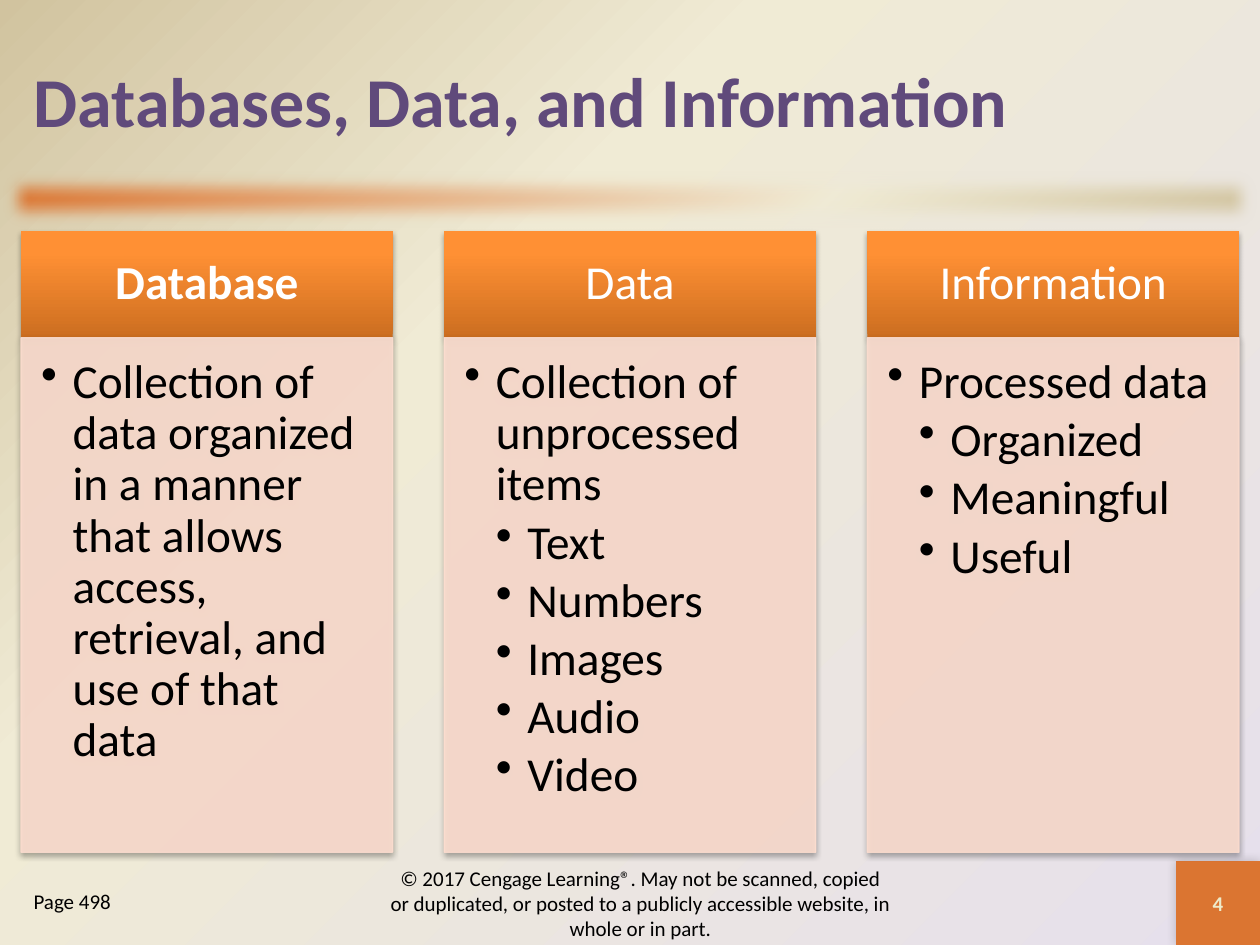
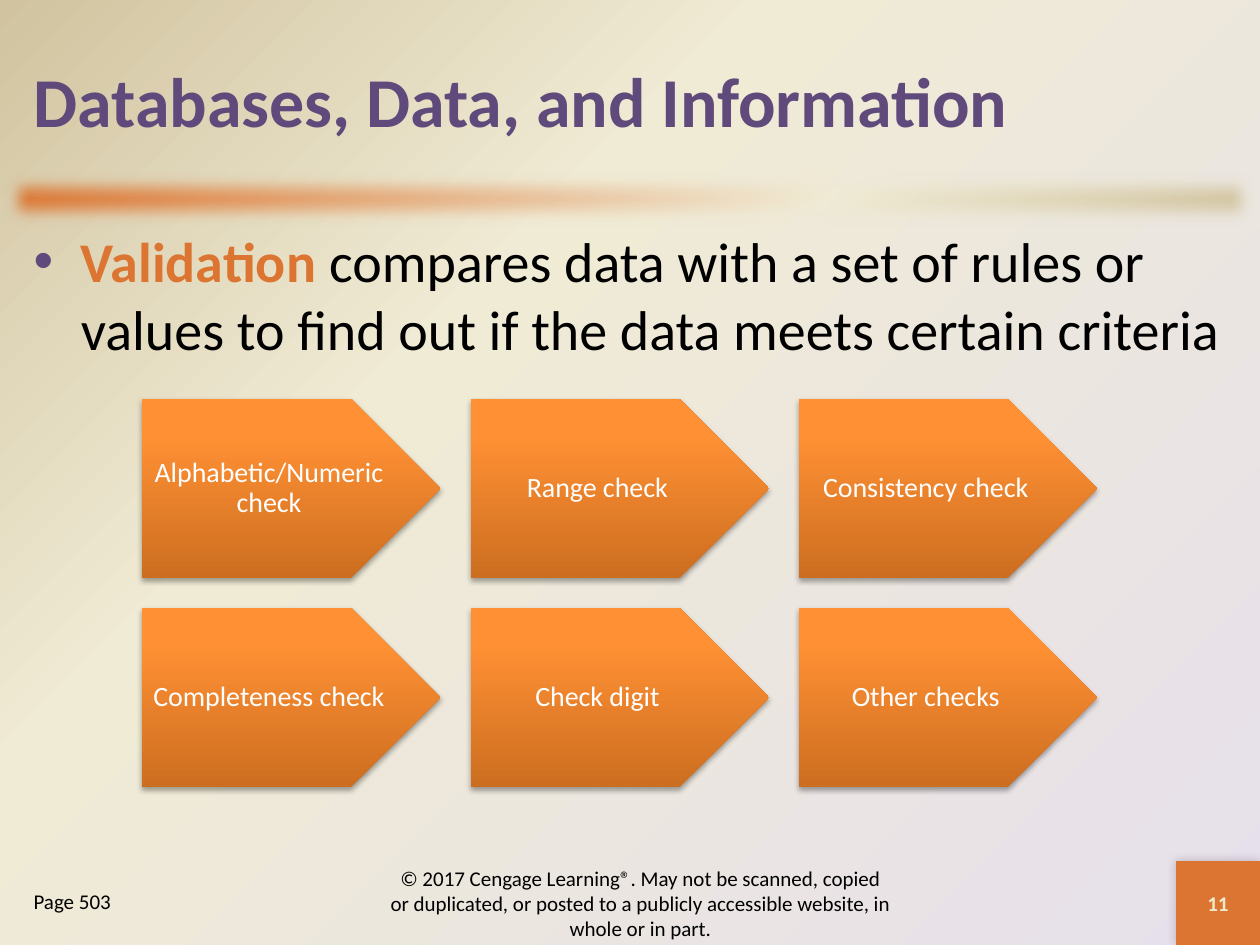
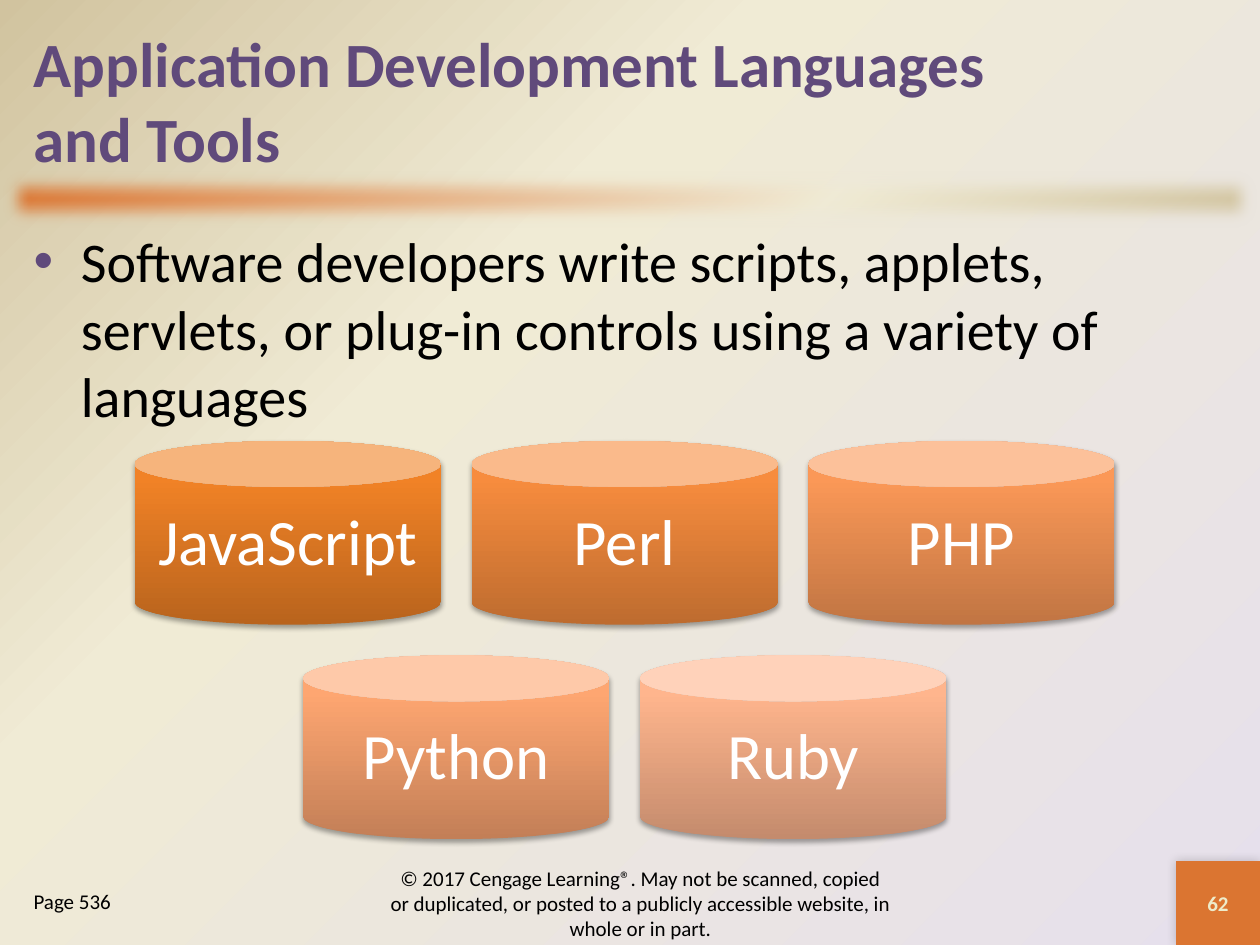
from dataclasses import dataclass
from typing import NamedTuple

from lxml.etree import SubElement
from pptx import Presentation
from pptx.dml.color import RGBColor
from pptx.enum.shapes import MSO_SHAPE
from pptx.enum.text import MSO_ANCHOR, MSO_AUTO_SIZE, PP_ALIGN
from pptx.oxml import parse_xml
from pptx.oxml.ns import nsdecls, qn
from pptx.util import Pt

RECTANGLE = MSO_SHAPE.RECTANGLE
ARROW = MSO_SHAPE.PENTAGON
CYLINDER = MSO_SHAPE.CAN
TOP, MIDDLE = MSO_ANCHOR.TOP, MSO_ANCHOR.MIDDLE
LEFT, CENTER = PP_ALIGN.LEFT, PP_ALIGN.CENTER
NO_AUTOFIT = MSO_AUTO_SIZE.NONE

FONT = "Calibri"
BLACK = RGBColor(0x00, 0x00, 0x00)
WHITE = RGBColor(0xFF, 0xFF, 0xFF)
PURPLE = RGBColor(0x60, 0x4A, 0x7B)
ORANGE = RGBColor(0xDB, 0x75, 0x31)
LAVENDER = RGBColor(0xE6, 0xE0, 0xEC)
CREAM = RGBColor(0xF0, 0xEB, 0xD5)
SAND = RGBColor(0xD1, 0xC3, 0x9F)
PALE_YELLOW = RGBColor(0xEE, 0xEB, 0xCA)
PEACH = RGBColor(0xFC, 0xDD, 0xCF)

CONTENT_LEFT, CONTENT_WIDTH = 12, 696
TWO_CONTENT_LAYOUT = 3
COPYRIGHT = (
    "© 2017 Cengage Learning®. May not be scanned, copied or duplicated, "
    "or posted to a publicly accessible website, in whole or in part."
)


class Frame(NamedTuple):
    left: float
    top: float
    width: float
    height: float


class Shades(NamedTuple):
    dark: RGBColor
    main: RGBColor
    light: RGBColor


class Shadow(NamedTuple):
    opacity: int
    blur: float
    distance: float
    angle: int


class Tile(NamedTuple):
    label: str
    shades: Shades


class Card(NamedTuple):
    heading: str
    bold: bool
    statement: str
    examples: tuple[str, ...] = ()


@dataclass(frozen=True)
class TileGrid:
    shape: int
    rows: tuple[tuple[Tile, ...], ...]
    center: float
    top: float
    tile_width: float
    inset: float
    size: float


ORANGE_SHADES = Shades(
    RGBColor(0xCC, 0x6E, 0x20), RGBColor(0xFF, 0x90, 0x34), RGBColor(0xFF, 0x91, 0x36)
)
JAVASCRIPT_SHADES = Shades(
    RGBColor(0xB9, 0x64, 0x1D), RGBColor(0xF1, 0x82, 0x26), RGBColor(0xF6, 0x82, 0x22)
)
PERL_SHADES = Shades(
    RGBColor(0xBE, 0x6C, 0x2F), RGBColor(0xF7, 0x8C, 0x3E), RGBColor(0xFB, 0x8C, 0x3A)
)
PHP_SHADES = Shades(
    RGBColor(0xC1, 0x75, 0x43), RGBColor(0xFB, 0x98, 0x57), RGBColor(0xFF, 0x98, 0x54)
)
PYTHON_SHADES = Shades(
    RGBColor(0xC3, 0x7F, 0x57), RGBColor(0xFE, 0xA6, 0x71), RGBColor(0xFF, 0xA6, 0x72)
)
RUBY_SHADES = Shades(
    RGBColor(0xC4, 0x8B, 0x6D), RGBColor(0xFF, 0xB5, 0x8D), RGBColor(0xFF, 0xB6, 0x8F)
)

TILE_SHADOW = Shadow(35, 3.1, 1.8, 90)
NUMBER_SHADOW = Shadow(20, 6, 0, 225)

TITLE_FRAME = Frame(CONTENT_LEFT, 12, CONTENT_WIDTH, 90)
BODY_FRAME = Frame(CONTENT_LEFT, 126, CONTENT_WIDTH, 366)
PAGE_FRAME = Frame(CONTENT_LEFT, 504, 132, 36)
COPYRIGHT_FRAME = Frame(216, 498, 300, 36)
NUMBER_FRAME = Frame(672, 492, 48, 48)
BAND_FRAME = Frame(0, 96, 720, 36)

CARDS = (
    Card(
        "Database",
        True,
        "Collection of data organized in a manner that allows access, "
        "retrieval, and use of that data",
    ),
    Card(
        "Data",
        False,
        "Collection of unprocessed items",
        ("Text", "Numbers", "Images", "Audio", "Video"),
    ),
    Card("Information", False, "Processed data", ("Organized", "Meaningful", "Useful")),
)

CHECKS = TileGrid(
    ARROW,
    (
        (
            Tile("Alphabetic/Numeric check", ORANGE_SHADES),
            Tile("Range check", ORANGE_SHADES),
            Tile("Consistency check", ORANGE_SHADES),
        ),
        (
            Tile("Completeness check", ORANGE_SHADES),
            Tile("Check digit", ORANGE_SHADES),
            Tile("Other checks", ORANGE_SHADES),
        ),
    ),
    center=354.2,
    top=228,
    tile_width=170.6,
    inset=5,
    size=16,
)

LANGUAGES = TileGrid(
    CYLINDER,
    (
        (
            Tile("JavaScript", JAVASCRIPT_SHADES),
            Tile("Perl", PERL_SHADES),
            Tile("PHP", PHP_SHADES),
        ),
        (Tile("Python", PYTHON_SHADES), Tile("Ruby", RUBY_SHADES)),
    ),
    center=357,
    top=252,
    tile_width=175,
    inset=10.8,
    size=37,
)


def place(shape, frame: Frame) -> None:
    shape.left, shape.top, shape.width, shape.height = map(Pt, frame)


def set_gradient(parent, stops, direction: str) -> None:
    marks = "".join(
        f'<a:gs pos="{position * 1000}"><a:srgbClr val="{color}"/></a:gs>'
        for position, color in stops
    )
    gradient = parse_xml(
        f'<a:gradFill {nsdecls("a")} rotWithShape="1">'
        f"<a:gsLst>{marks}</a:gsLst>{direction}</a:gradFill>"
    )
    parent.replace(parent.find(qn("a:solidFill")), gradient)


def linear(angle: int) -> str:
    return f'<a:lin ang="{angle * 60000}" scaled="0"/>'


def set_effect(shape, effect: str) -> None:
    properties = shape.element.spPr
    for effects in properties.findall(qn("a:effectLst")):
        properties.remove(effects)
    properties.append(
        parse_xml(f'<a:effectLst {nsdecls("a")}>{effect}</a:effectLst>')
    )


def set_shadow(shape, shadow: Shadow) -> None:
    set_effect(
        shape,
        f'<a:outerShdw blurRad="{Pt(shadow.blur)}" dist="{Pt(shadow.distance)}" '
        f'dir="{shadow.angle * 60000}" algn="ctr" rotWithShape="0">'
        f'<a:srgbClr val="000000"><a:alpha val="{shadow.opacity * 1000}"/>'
        "</a:srgbClr></a:outerShdw>",
    )


def add_block(page, kind: int, frame: Frame, color: RGBColor):
    shape = page.shapes.add_shape(kind, *map(Pt, frame))
    shape.shadow.inherit = False
    shape.fill.solid()
    shape.fill.fore_color.rgb = color
    shape.line.fill.background()
    return shape


def add_glossy(page, kind: int, frame: Frame, shades: Shades):
    shape = add_block(page, kind, frame, shades.main)
    set_gradient(shape.element.spPr, zip((0, 80, 100), shades), linear(270))
    set_shadow(shape, TILE_SHADOW)
    return shape


def set_frame(box, anchor, insets=(7.2, 3.6, 7.2, 3.6)) -> None:
    text = box.text_frame
    text.word_wrap = True
    text.auto_size = NO_AUTOFIT
    text.vertical_anchor = anchor
    text.margin_left, text.margin_top, text.margin_right, text.margin_bottom = map(
        Pt, insets
    )


def style(para, size: float, color: RGBColor, bold: bool = False, align=LEFT) -> None:
    para.alignment = align
    for span in para.runs:
        span.font.name = FONT
        span.font.size = Pt(size)
        span.font.bold = bold
        span.font.color.rgb = color


def set_bullet(para, left: float, hanging: float, color: RGBColor | None = None,
               mark: str = "•") -> None:
    properties = para._p.get_or_add_pPr()
    properties.set("marL", str(Pt(left)))
    properties.set("indent", str(Pt(-hanging)))
    if color is not None:
        SubElement(SubElement(properties, qn("a:buClr")), qn("a:srgbClr"), val=str(color))
    if mark:
        SubElement(properties, qn("a:buChar"), char=mark)
    else:
        SubElement(properties, qn("a:buNone"))


def add_label(page, frame: Frame, text: str, color: RGBColor, bold: bool = False) -> None:
    box = page.shapes.add_textbox(*map(Pt, frame))
    set_frame(box, MIDDLE)
    box.text_frame.text = text
    style(box.text_frame.paragraphs[0], 12, color, bold, CENTER)


def decorate_master(deck, page) -> None:
    master = deck.slide_master
    master.background.fill.solid()
    master.background.fill.fore_color.rgb = CREAM
    set_gradient(
        next(master.element.iter(qn("p:bgPr"))),
        ((0, LAVENDER), (65, CREAM), (100, SAND)),
        '<a:path path="circle"><a:fillToRect l="100000" t="100000"/></a:path>'
        '<a:tileRect r="-100000" b="-100000"/>',
    )
    band = add_block(page, RECTANGLE, BAND_FRAME, ORANGE)
    set_gradient(
        band.element.spPr, ((0, ORANGE), (65, CREAM), (100, SAND)), linear(45)
    )
    set_effect(band, f'<a:softEdge rad="{Pt(10)}"/>')
    square = add_block(page, RECTANGLE, NUMBER_FRAME, ORANGE)
    set_shadow(square, NUMBER_SHADOW)
    for number, shape in enumerate((band, square), start=101):
        next(shape.element.iter(qn("p:cNvPr"))).set("id", str(number))
        master.shapes.element.append(shape.element)


def add_page(deck, title: str, title_size: float, book_page: int, number: int,
             statement: tuple[tuple[str, bool], ...] = ()):
    page = deck.slides.add_slide(deck.slide_layouts[TWO_CONTENT_LAYOUT])
    heading = page.shapes.title
    place(heading, TITLE_FRAME)
    set_frame(heading, MIDDLE)
    heading.text_frame.text = title
    para = heading.text_frame.paragraphs[0]
    style(para, title_size, PURPLE, True)
    for line_break in para._p.findall(qn("a:br")):
        SubElement(line_break, qn("a:rPr"), sz=str(title_size * 100))

    body, reference = page.placeholders[1], page.placeholders[2]
    if statement:
        place(body, BODY_FRAME)
        set_frame(body, TOP)
        para = body.text_frame.paragraphs[0]
        set_bullet(para, 27, 27, PURPLE)
        para.space_before = Pt(0)
        for words, _ in statement:
            para.add_run().text = words
        style(para, 32, BLACK)
        for span, (_, is_term) in zip(para.runs, statement):
            if is_term:
                span.font.bold = True
                span.font.color.rgb = ORANGE
    else:
        body.element.getparent().remove(body.element)

    place(reference, PAGE_FRAME)
    set_frame(reference, TOP)
    reference.text_frame.text = f"Page {book_page}"
    para = reference.text_frame.paragraphs[0]
    set_bullet(para, 27, 27, mark="")
    para.space_before = Pt(0)
    style(para, 12, BLACK)

    add_label(page, COPYRIGHT_FRAME, COPYRIGHT, BLACK)
    add_label(page, NUMBER_FRAME, str(number), PALE_YELLOW, True)
    return page


def add_card(page, card: Card, left: float, width: float) -> None:
    header = add_glossy(page, RECTANGLE, Frame(left, 132, width, 61), ORANGE_SHADES)
    set_frame(header, MIDDLE, (15, 8.6, 15, 8.6))
    header.text_frame.text = card.heading
    para = header.text_frame.paragraphs[0]
    para.line_spacing = 0.9
    style(para, 27, WHITE, card.bold, CENTER)

    panel = add_block(page, RECTANGLE, Frame(left, 193, width, 294), PEACH)
    panel.line.color.rgb = PEACH
    panel.line.width = Pt(0.75)
    for color in panel.element.spPr.iter(qn("a:srgbClr")):
        SubElement(color, qn("a:alpha"), val="90000")
    set_shadow(panel, TILE_SHADOW)
    set_frame(panel, TOP, (11.5, 11.5, 15, 17.3))
    panel.text_frame.text = "\n".join((card.statement, *card.examples))
    for position, para in enumerate(panel.text_frame.paragraphs):
        set_bullet(para, 36 if position else 18, 18)
        para.line_spacing = 0.9
        para.space_after = Pt(4)
        style(para, 27, BLACK)


def add_cards(page, cards: tuple[Card, ...]) -> None:
    width = 212.4
    pitch = (CONTENT_WIDTH - width) / (len(cards) - 1)
    for column, card in enumerate(cards):
        add_card(page, card, CONTENT_LEFT + column * pitch, width)


def add_tiles(page, grid: TileGrid) -> None:
    width, height, gap = grid.tile_width, grid.tile_width * 0.6, grid.tile_width * 0.1
    for row, tiles in enumerate(grid.rows):
        row_left = grid.center - (len(tiles) * (width + gap) - gap) / 2
        top = grid.top + row * (height + gap)
        for column, tile in enumerate(tiles):
            frame = Frame(row_left + column * (width + gap), top, width, height)
            shape = add_glossy(page, grid.shape, frame, tile.shades)
            set_frame(shape, MIDDLE, (grid.inset,) * 4)
            shape.text_frame.text = tile.label
            para = shape.text_frame.paragraphs[0]
            para.line_spacing = 0.9
            style(para, grid.size, WHITE, align=CENTER)


def main() -> None:
    deck = Presentation()
    deck.slide_width, deck.slide_height = Pt(720), Pt(540)

    definitions = add_page(deck, "Databases, Data, and Information", 40, 498, 4)
    decorate_master(deck, definitions)
    add_cards(definitions, CARDS)

    validation = add_page(
        deck, "Databases, Data, and Information", 40, 503, 11,
        (
            ("Validation ", True),
            ("compares data with a set of rules or values to find out "
             "if the data meets certain criteria", False),
        ),
    )
    add_tiles(validation, CHECKS)

    languages = add_page(
        deck, "Application Development Languages \vand Tools", 36, 536, 62,
        (
            ("Software developers write scripts, applets, servlets, "
             "or plug-in controls using a variety of languages", False),
        ),
    )
    add_tiles(languages, LANGUAGES)

    deck.save("out.pptx")


if __name__ == "__main__":
    main()
